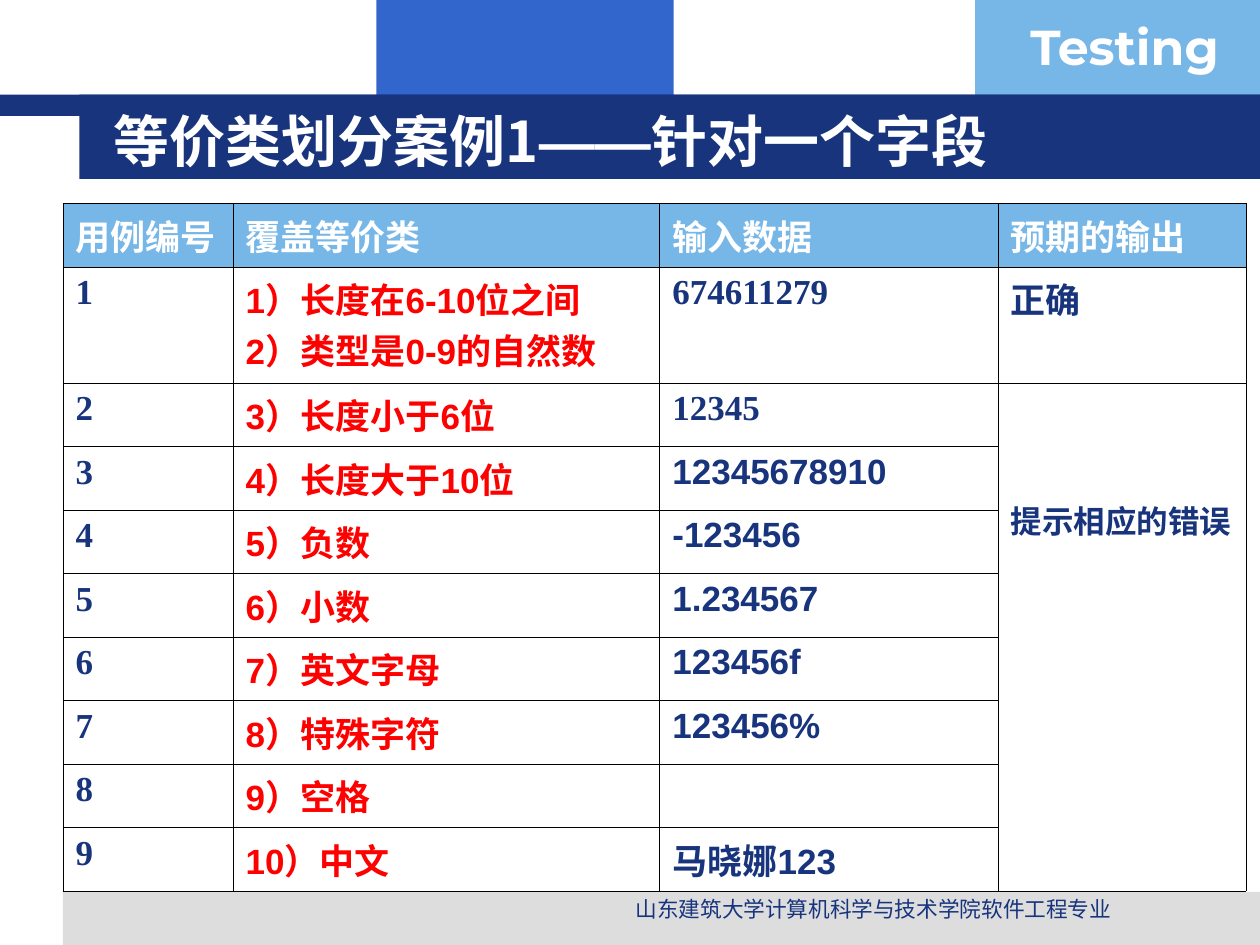
from lxml.etree import SubElement
from pptx import Presentation
from pptx.dml.color import RGBColor
from pptx.enum.shapes import MSO_SHAPE as Shape
from pptx.enum.text import MSO_ANCHOR as Anchor, MSO_AUTO_SIZE as AutoSize, PP_ALIGN as Align
from pptx.oxml.ns import qn
from pptx.util import Cm, Pt

NAVY, SKY, RED, WHITE, BLACK = "17347D", "77B7E7", "FF0000", "FFFFFF", "000000"
SANS, SERIF, CJK, DISPLAY = "Arial", "Times New Roman", "Noto Sans CJK SC", "Montserrat"

BANDS = [
    ("3366CC", 7.59, 0, 5.99, 2.34),
    (SKY, 19.66, 0, 5.74, 2.34),
    ("DDDDDD", 1.27, 17.98, 24.13, 1.07),
    (NAVY, 0, 1.91, 25.4, 0.43),
    (NAVY, 1.6, 1.91, 23.8, 1.7),
]
TITLE = [("等价类划分案例1", CJK), ("——", SANS), ("针对一个字段", CJK)]
BRAND = "Testing"
FOOTER = "山东建筑大学计算机科学与技术学院软件工程专业"
HEADERS = ["用例编号", "覆盖等价类", "输入数据", "预期的输出"]
CASES = [
    ("1）长度在6-10位之间\n2）类型是0-9的自然数", "674611279", SERIF),
    ("3）长度小于6位", "12345", SERIF),
    ("4）长度大于10位", "12345678910", SANS),
    ("5）负数", "-123456", SANS),
    ("6）小数", "1.234567", SANS),
    ("7）英文字母", "123456f", SANS),
    ("8）特殊字符", "123456%", SANS),
    ("9）空格", "", SANS),
    ("10）中文", "马晓娜123", SANS),
]
VALID, INVALID = "正确", "提示相应的错误"
COLUMNS = [3.43, 8.6, 6.82, 5.0]
ROW, TALL_ROW = 1.28, 2.34


def color(value):
    return RGBColor.from_string(value)


def style(span, size, face, shade, bold=True):
    font = span.font
    font.size, font.name, font.bold = Pt(size), face, bold
    font.color.rgb = color(shade)
    SubElement(span._r.get_or_add_rPr(), qn("a:ea"), typeface=CJK)


def write(frame, text, *look):
    frame.text = text
    for para in frame.paragraphs:
        for span in para.runs:
            style(span, *look)


def add_band(page, shade, left, top, width, height):
    band = page.shapes.add_shape(Shape.RECTANGLE, Cm(left), Cm(top), Cm(width), Cm(height))
    band.shadow.inherit = False
    band.fill.solid()
    band.fill.fore_color.rgb = color(shade)
    band.line.fill.background()


def add_label(page, text, left, top, width, height, *look):
    box = page.shapes.add_textbox(Cm(left), Cm(top), Cm(width), Cm(height))
    box.text_frame.word_wrap = True
    write(box.text_frame, text, *look)
    return box


def place_title(page):
    title = page.shapes.title
    title.element.getparent().append(title.element)
    title.left, title.top, title.width, title.height = Cm(2.03), Cm(2.03), Cm(21.67), Cm(1.57)
    frame = title.text_frame
    frame.auto_size, frame.vertical_anchor = AutoSize.NONE, Anchor.MIDDLE
    para = frame.paragraphs[0]
    para.alignment = Align.LEFT
    for text, face in TITLE:
        span = para.add_run()
        span.text = text
        style(span, 32, face, WHITE)


def add_borders(cell):
    props = cell._tc.get_or_add_tcPr()
    for index, side in enumerate(("lnL", "lnR", "lnT", "lnB")):
        line = props.makeelement(qn(f"a:{side}"), {"w": str(Pt(0.45))})
        SubElement(SubElement(line, qn("a:solidFill")), qn("a:srgbClr"), val=BLACK)
        props.insert(index, line)


def add_cases(page):
    heights = [ROW, TALL_ROW] + [ROW] * (len(CASES) - 1)
    table = page.shapes.add_table(
        len(heights), len(COLUMNS), Cm(1.27), Cm(4.1), Cm(sum(COLUMNS)), Cm(sum(heights))
    ).table
    table.first_row = table.horz_banding = False
    for column, width in zip(table.columns, COLUMNS):
        column.width = Cm(width)
    for row, height in zip(table.rows, heights):
        row.height = Cm(height)
    for cell in table.iter_cells():
        cell.fill.background()
        add_borders(cell)
    for column, text in enumerate(HEADERS):
        cell = table.cell(0, column)
        cell.fill.solid()
        cell.fill.fore_color.rgb = color(SKY)
        write(cell.text_frame, text, 20, SERIF, WHITE)
    for number, (classes, data, face) in enumerate(CASES, 1):
        write(table.cell(number, 0).text_frame, str(number), 20, SERIF, NAVY)
        write(table.cell(number, 1).text_frame, classes, 20, SANS, RED)
        write(table.cell(number, 2).text_frame, data, 20, face, NAVY)
    write(table.cell(1, 3).text_frame, VALID, 20, SERIF, NAVY)
    outcome = table.cell(2, 3)
    outcome.merge(table.cell(len(CASES), 3))
    outcome.margin_top = Cm(2.3)
    write(outcome.text_frame, INVALID, 18, SANS, NAVY)


def main():
    """Build the equivalence-class test case slide."""
    deck = Presentation()
    deck.slide_width, deck.slide_height = Cm(25.4), Cm(19.05)
    page = deck.slides.add_slide(deck.slide_layouts[5])
    for band in BANDS:
        add_band(page, *band)
    add_label(page, BRAND, 20.52, 0.2, 4.9, 1.45, 28, DISPLAY, WHITE)
    footer = add_label(page, FOOTER, 10.31, 17.93, 14.6, 0.79, 12.4, SANS, NAVY, False)
    footer.text_frame.paragraphs[0].alignment = Align.CENTER
    place_title(page)
    add_cases(page)
    deck.save("out.pptx")


if __name__ == "__main__":
    main()
